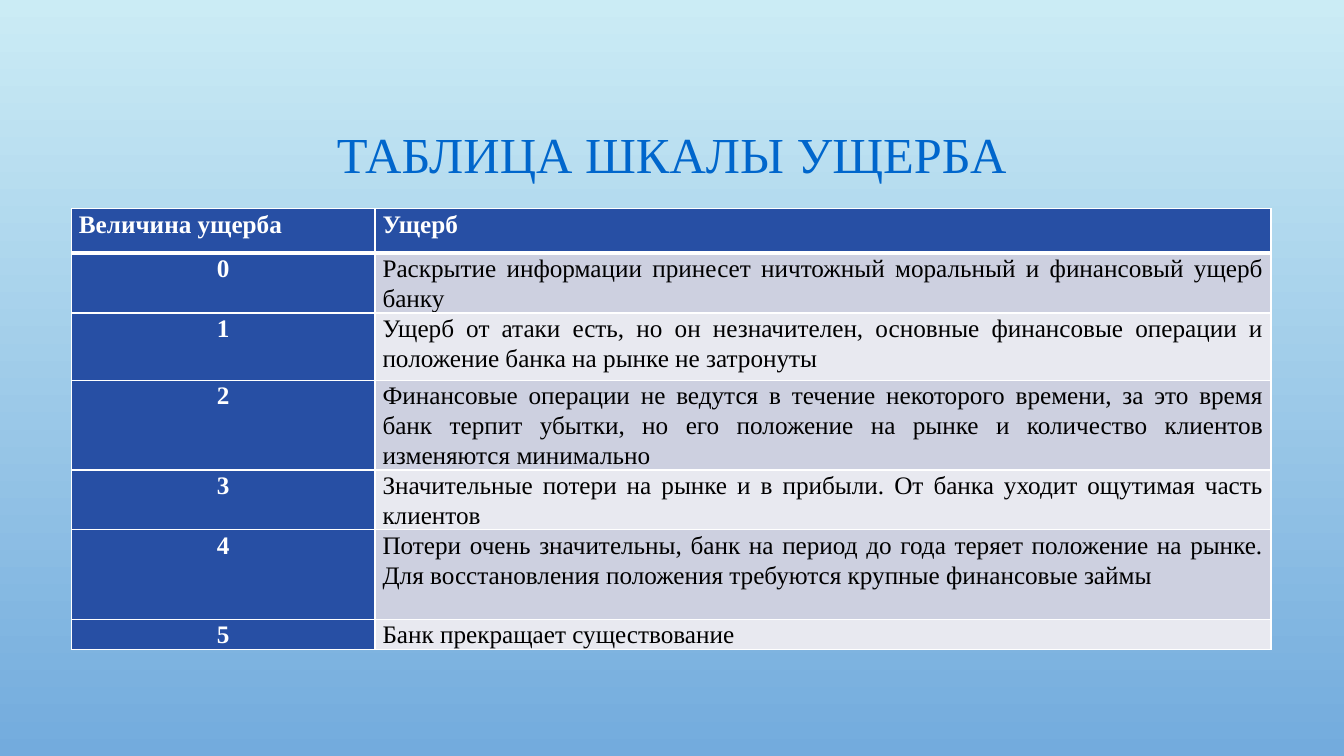
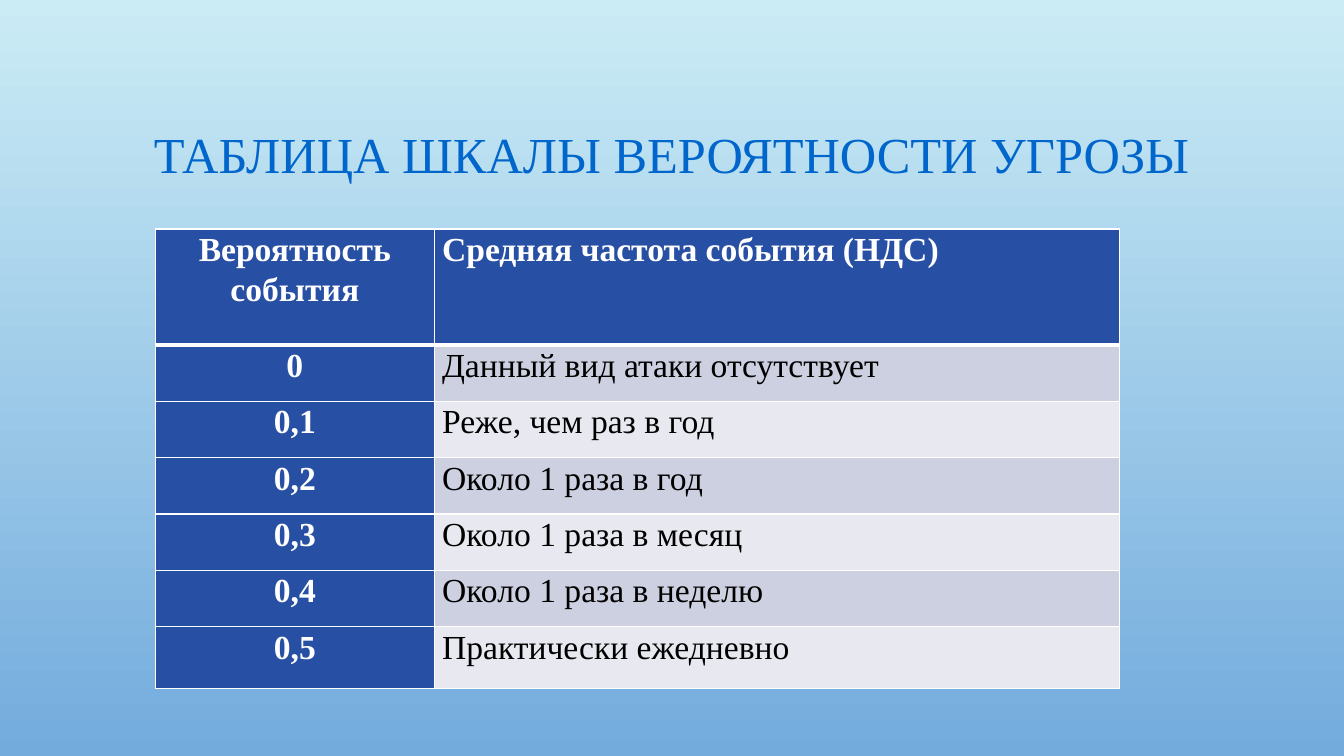
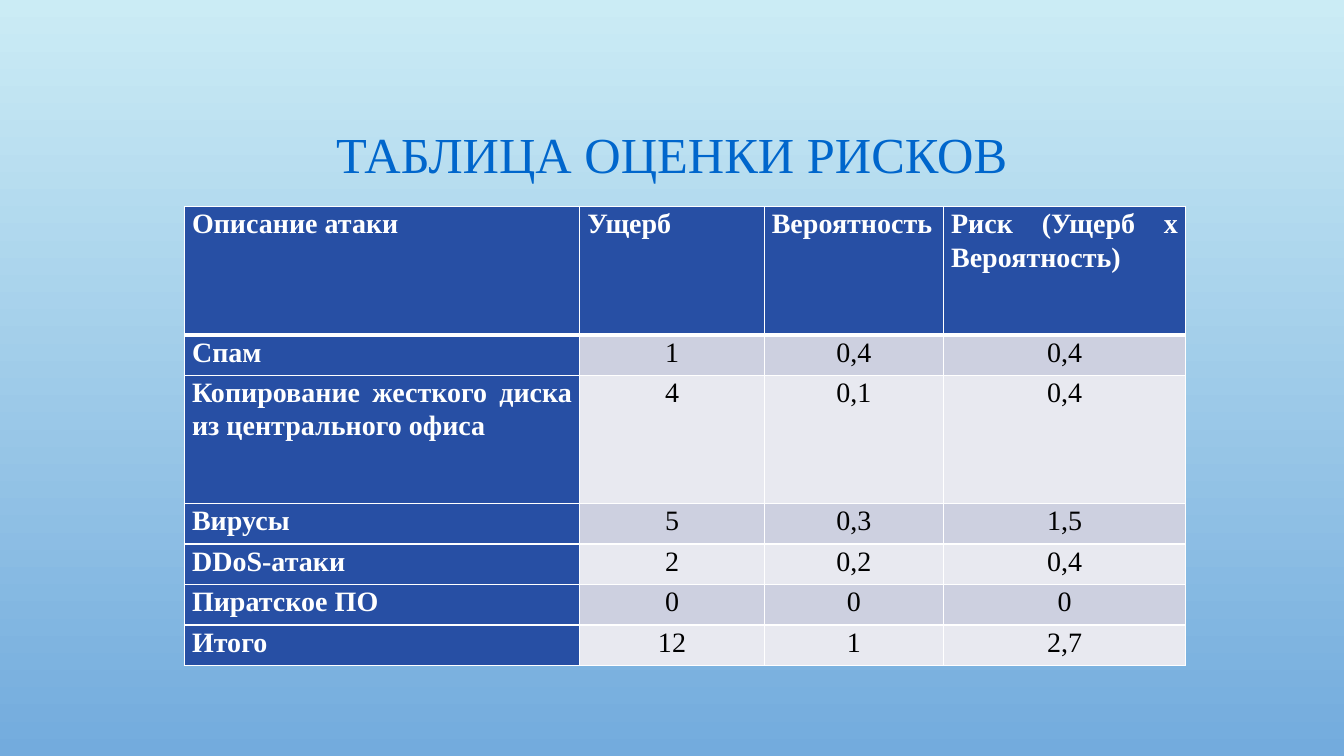
from dataclasses import dataclass
from typing import Any

from lxml import etree
from pptx import Presentation
from pptx.dml.color import RGBColor
from pptx.enum.text import MSO_ANCHOR, MSO_AUTO_SIZE, PP_ALIGN
from pptx.oxml.ns import qn
from pptx.util import Cm, Pt

LEFT, CENTER, JUSTIFY = PP_ALIGN.LEFT, PP_ALIGN.CENTER, PP_ALIGN.JUSTIFY
MIDDLE, TOP = MSO_ANCHOR.MIDDLE, MSO_ANCHOR.TOP
NO_AUTOFIT = MSO_AUTO_SIZE.NONE
TITLE_ONLY_LAYOUT = 5


@dataclass(frozen=True)
class Theme:
    font: str = "Times New Roman"
    background_top: str = "CBECF5"
    background_bottom: str = "73ABDD"
    title_color: str = "0066CC"
    header_fill: str = "274FA4"
    header_color: str = "FFFFFF"
    body_color: str = "000000"
    band_fills: tuple[str, str] = ("CDD0E0", "E8E9F0")
    border_color: str = "FFFFFF"
    title_size: float = 36
    title_spacing: float = 0.9
    cell_spacing: float = 1.07
    border_width: float = 1
    header_border_width: float = 3
    cell_margin: float = 0.19


@dataclass(frozen=True)
class TableSlide:
    title: str
    left: float
    top: float
    column_widths: list[float]
    row_heights: list[float]
    text_size: float
    header_alignments: list[PP_ALIGN]
    body_alignments: list[PP_ALIGN]
    rows: list[tuple[str, ...]]


THEME = Theme()

TABLE_SLIDES = [
    TableSlide(
        title="ТАБЛИЦА ШКАЛЫ УЩЕРБА",
        left=1.8,
        top=5.26,
        column_widths=[7.65, 22.58],
        row_heights=[1.12, 1.45, 1.7, 2.26, 1.45, 2.26, 0.71],
        text_size=18,
        header_alignments=[LEFT, LEFT],
        body_alignments=[CENTER, JUSTIFY],
        rows=[
            ("Величина ущерба", "Ущерб"),
            ("0", "Раскрытие информации принесет ничтожный моральный и финансовый ущерб банку"),
            ("1", "Ущерб от атаки есть, но он незначителен, основные финансовые операции "
                  "и положение банка на рынке не затронуты"),
            ("2", "Финансовые операции не ведутся в течение некоторого времени, за это время "
                  "банк терпит убытки, но его положение на рынке и количество клиентов "
                  "изменяются минимально"),
            ("3", "Значительные потери на рынке и в прибыли. От банка уходит ощутимая часть клиентов"),
            ("4", "Потери очень значительны, банк на период до года теряет положение на рынке. "
                  "Для восстановления положения требуются крупные финансовые займы"),
            ("5", "Банк прекращает существование"),
        ],
    ),
    TableSlide(
        title="ТАБЛИЦА ШКАЛЫ ВЕРОЯТНОСТИ УГРОЗЫ",
        left=3.91,
        top=5.77,
        column_widths=[7.04, 17.27],
        row_heights=[2.92, *[1.42] * 5, 1.55],
        text_size=24,
        header_alignments=[CENTER, JUSTIFY],
        body_alignments=[CENTER, JUSTIFY],
        rows=[
            ("Вероятность события", "Средняя частота события (НДС)"),
            ("0", "Данный вид атаки отсутствует"),
            ("0,1", "Реже, чем раз в год"),
            ("0,2", "Около 1 раза в год"),
            ("0,3", "Около 1 раза в месяц"),
            ("0,4", "Около 1 раза в неделю"),
            ("0,5", "Практически ежедневно"),
        ],
    ),
    TableSlide(
        title="ТАБЛИЦА ОЦЕНКИ РИСКОВ",
        left=4.65,
        top=5.21,
        column_widths=[9.96, 4.65, 4.52, 6.1],
        row_heights=[3.23, 1.02, 3.23, *[1.02] * 4],
        text_size=20,
        header_alignments=[JUSTIFY] * 4,
        body_alignments=[JUSTIFY, CENTER, CENTER, CENTER],
        rows=[
            ("Описание атаки", "Ущерб", "Вероятность", "Риск (Ущерб x Вероятность)"),
            ("Спам", "1", "0,4", "0,4"),
            ("Копирование жесткого диска из центрального офиса", "4", "0,1", "0,4"),
            ("Вирусы", "5", "0,3", "1,5"),
            ("DDoS-атаки", "2", "0,2", "0,4"),
            ("Пиратское ПО", "0", "0", "0"),
            ("Итого", "12", "1", "2,7"),
        ],
    ),
]


def apply_format(target: Any, values: dict[str, Any]) -> None:
    for name, value in values.items():
        setattr(target, name, value)


def write_text(text_frame: Any, text: str, size: float, color: str, bold: bool,
               alignment: PP_ALIGN, spacing: float) -> None:
    paragraph = text_frame.paragraphs[0]
    apply_format(paragraph, {"alignment": alignment, "line_spacing": spacing})
    run = paragraph.add_run()
    run.text = text
    apply_format(run.font, {"name": THEME.font, "size": Pt(size), "bold": bold})
    run.font.color.rgb = RGBColor.from_string(color)


def paint_background(master: Any) -> None:
    fill = master.background.fill
    fill.gradient()
    fill.gradient_angle = 270
    colors = (THEME.background_top, THEME.background_bottom)
    for stop, position, color in zip(fill.gradient_stops, (0, 1), colors):
        stop.position = position
        stop.color.rgb = RGBColor.from_string(color)


def draw_borders(cell: Any, row_index: int) -> None:
    widths = dict.fromkeys(("lnL", "lnR", "lnT", "lnB"), THEME.border_width)
    if row_index < 2:
        widths["lnB" if row_index == 0 else "lnT"] = THEME.header_border_width
    properties = cell._tc.get_or_add_tcPr()
    for position, (side, width) in enumerate(widths.items()):
        line = etree.Element(qn(f"a:{side}"), w=str(Pt(width)))
        fill = etree.SubElement(line, qn("a:solidFill"))
        etree.SubElement(fill, qn("a:srgbClr"), val=THEME.border_color)
        properties.insert(position, line)


def draw_title(slide: Any, text: str) -> None:
    title = slide.shapes.title
    apply_format(title, {"left": Cm(2.54), "top": Cm(1.73),
                         "width": Cm(28.78), "height": Cm(4.44)})
    apply_format(title.text_frame, {"vertical_anchor": MIDDLE, "word_wrap": True,
                                    "auto_size": NO_AUTOFIT})
    write_text(title.text_frame, text, THEME.title_size, THEME.title_color, False,
               CENTER, THEME.title_spacing)


def draw_cell(cell: Any, content: TableSlide, row_index: int, column_index: int) -> None:
    is_header = row_index == 0
    is_heading = is_header or column_index == 0
    alignments = content.header_alignments if is_header else content.body_alignments
    fill_color = THEME.header_fill if is_heading else THEME.band_fills[(row_index - 1) % 2]
    apply_format(cell, {"margin_left": Cm(THEME.cell_margin),
                        "margin_right": Cm(THEME.cell_margin),
                        "margin_top": 0, "margin_bottom": 0, "vertical_anchor": TOP})
    cell.fill.solid()
    cell.fill.fore_color.rgb = RGBColor.from_string(fill_color)
    draw_borders(cell, row_index)
    write_text(cell.text_frame, content.rows[row_index][column_index], content.text_size,
               THEME.header_color if is_heading else THEME.body_color, is_heading,
               alignments[column_index], THEME.cell_spacing)


def draw_table(slide: Any, content: TableSlide) -> None:
    table = slide.shapes.add_table(
        len(content.rows), len(content.column_widths), Cm(content.left), Cm(content.top),
        Cm(sum(content.column_widths)), Cm(sum(content.row_heights))).table
    table.first_col = True
    for column, width in zip(table.columns, content.column_widths):
        column.width = Cm(width)
    for row_index, (row, height) in enumerate(zip(table.rows, content.row_heights)):
        row.height = Cm(height)
        for column_index, cell in enumerate(row.cells):
            draw_cell(cell, content, row_index, column_index)


def main() -> None:
    presentation = Presentation()
    apply_format(presentation, {"slide_width": Cm(33.87), "slide_height": Cm(19.05)})
    paint_background(presentation.slide_master)
    layout = presentation.slide_layouts[TITLE_ONLY_LAYOUT]
    for content in TABLE_SLIDES:
        slide = presentation.slides.add_slide(layout)
        draw_title(slide, content.title)
        draw_table(slide, content)
    presentation.save("out.pptx")


main()
